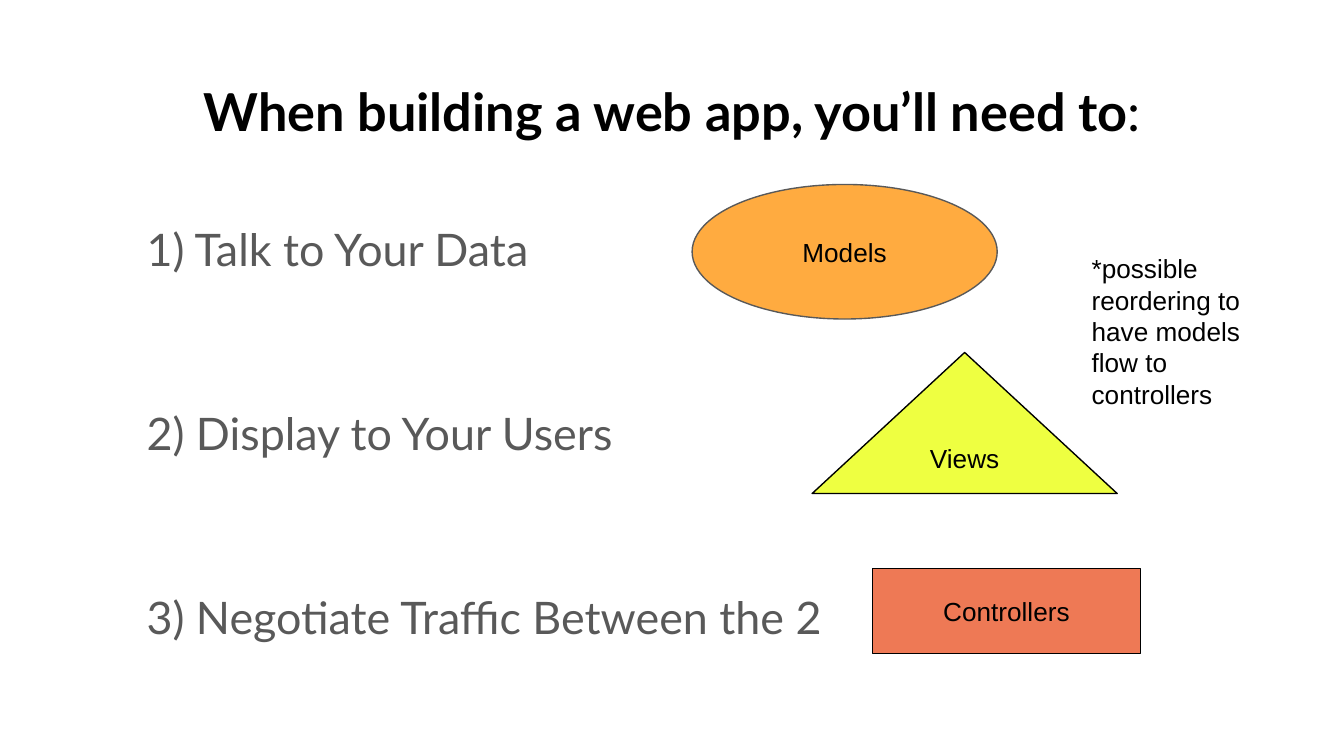
from typing import NamedTuple

from pptx import Presentation
from pptx.dml.color import RGBColor
from pptx.enum.shapes import MSO_SHAPE
from pptx.enum.text import MSO_ANCHOR, PP_ALIGN
from pptx.util import Inches, Pt

OVAL = MSO_SHAPE.OVAL
TRIANGLE = MSO_SHAPE.ISOSCELES_TRIANGLE
RECTANGLE = MSO_SHAPE.RECTANGLE
TOP, MIDDLE = MSO_ANCHOR.TOP, MSO_ANCHOR.MIDDLE
LEFT, CENTER = PP_ALIGN.LEFT, PP_ALIGN.CENTER

BLACK = RGBColor(0x00, 0x00, 0x00)
GRAY = RGBColor(0x59, 0x59, 0x59)
ORANGE = RGBColor(0xFF, 0xAB, 0x40)
YELLOW = RGBColor(0xEE, 0xFF, 0x41)
CORAL = RGBColor(0xEE, 0x79, 0x55)

WIDTH = Inches(10)
HEIGHT = WIDTH * 9 // 16
INSET = Inches(0.1)


class Box(NamedTuple):
    """Left, top, width and height in percent of the slide."""
    left: float
    top: float
    width: float
    height: float

    def lengths(self) -> tuple[int, int, int, int]:
        return (
            round(self.left * WIDTH / 100),
            round(self.top * HEIGHT / 100),
            round(self.width * WIDTH / 100),
            round(self.height * HEIGHT / 100),
        )


class Part(NamedTuple):
    label: str
    kind: MSO_SHAPE
    box: Box
    fill: RGBColor
    line: RGBColor


STEPS = [
    "1) Talk to Your Data",
    "2) Display to Your Users",
    "3) Negotiate Traffic Between the 2",
]
PARTS = [
    Part("Models", OVAL, Box(51.5, 24.4, 22.7, 17.8), ORANGE, GRAY),
    Part("Views", TRIANGLE, Box(60.43, 46.62, 22.7, 18.67), YELLOW, BLACK),
    Part("Controllers", RECTANGLE, Box(64.94, 75.25, 19.9, 11.2), CORAL, BLACK),
]


def add_run(p, text: str, *, size: float = 14, font: str = "Arial",
            color: RGBColor = BLACK, bold: bool = False) -> None:
    r = p.add_run()
    r.text = text
    r.font.size = Pt(size)
    r.font.name = font
    r.font.bold = bold
    r.font.color.rgb = color


def set_frame(sp, anchor: MSO_ANCHOR = TOP, align: PP_ALIGN = LEFT):
    tf = sp.text_frame
    tf.word_wrap = True
    tf.vertical_anchor = anchor
    tf.margin_left = tf.margin_top = tf.margin_right = tf.margin_bottom = INSET
    tf.paragraphs[0].alignment = align
    return tf


def add_title(s) -> None:
    sp = s.shapes.add_textbox(*Box(3.4, 8.7, 93.2, 11.2).lengths())
    p = set_frame(sp, align=CENTER).paragraphs[0]
    add_run(p, "When building a web app, you’ll need to",
            size=28, font="Lato", bold=True)
    add_run(p, ":", size=28, font="Lato")


def add_steps(s) -> None:
    sp = s.shapes.add_textbox(*Box(9.92, 26.5, 93.2, 66.5).lengths())
    tf = set_frame(sp)
    for i, step in enumerate(STEPS):
        p = tf.add_paragraph() if i else tf.paragraphs[0]
        p.line_spacing = 1.15
        p.space_after = Pt(65.3)
        add_run(p, step, size=24, font="Lato", color=GRAY)


def add_part(s, part: Part) -> None:
    sp = s.shapes.add_shape(part.kind, *part.box.lengths())
    sp.shadow.inherit = False
    sp.fill.solid()
    sp.fill.fore_color.rgb = part.fill
    sp.line.color.rgb = part.line
    sp.line.width = Pt(0.75)
    tf = set_frame(sp, MIDDLE, CENTER)
    add_run(tf.paragraphs[0], part.label)


def add_note(s) -> None:
    sp = s.shapes.add_textbox(*Box(80.24, 31.65, 13.3, 17.8).lengths())
    add_run(set_frame(sp).paragraphs[0],
            "*possible reordering to have models flow to controllers")


def main() -> None:
    prs = Presentation()
    prs.slide_width, prs.slide_height = WIDTH, HEIGHT
    s = prs.slides.add_slide(prs.slide_layouts[6])
    add_title(s)
    add_steps(s)
    for part in PARTS:
        add_part(s, part)
    add_note(s)
    prs.save("out.pptx")


if __name__ == "__main__":
    main()
